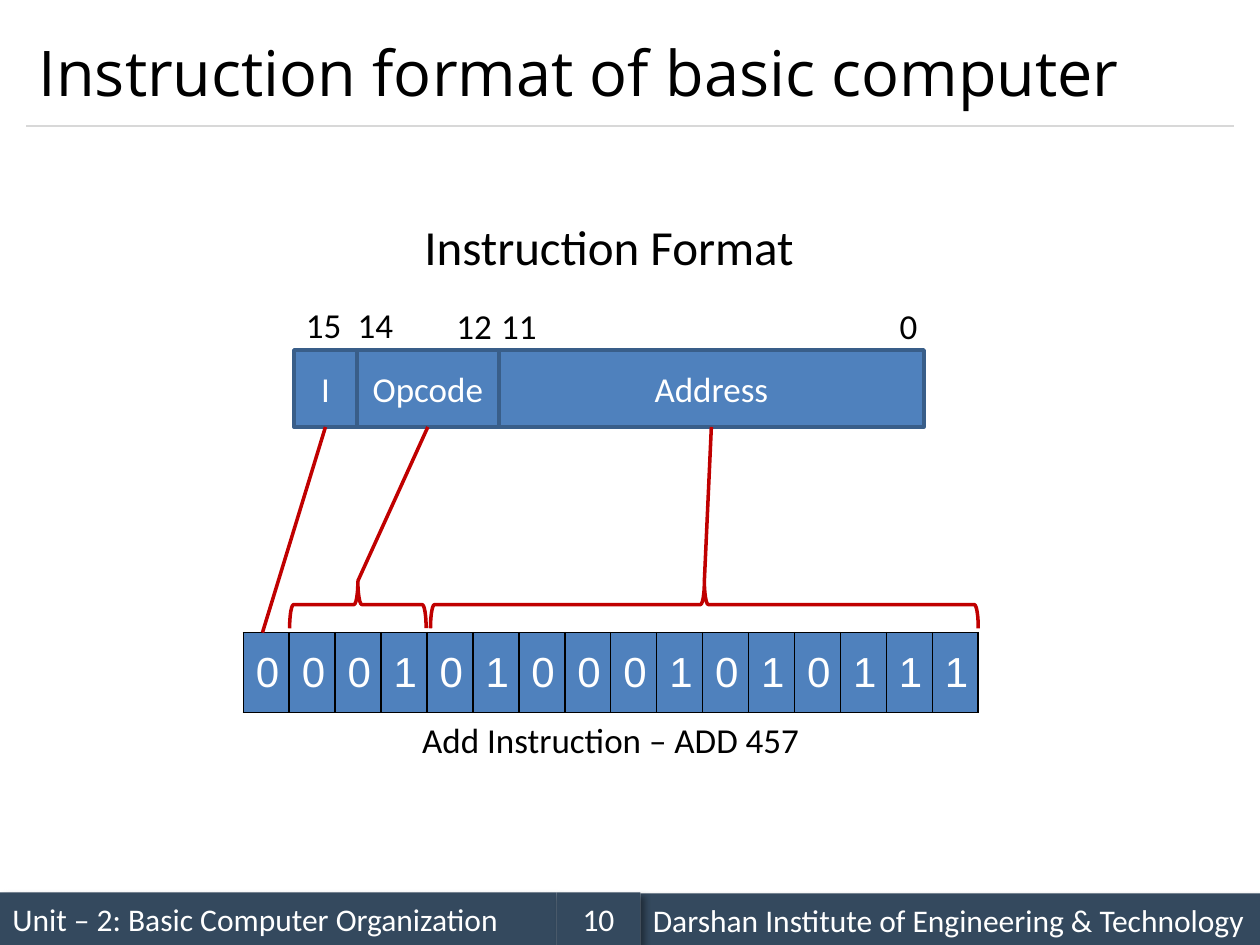
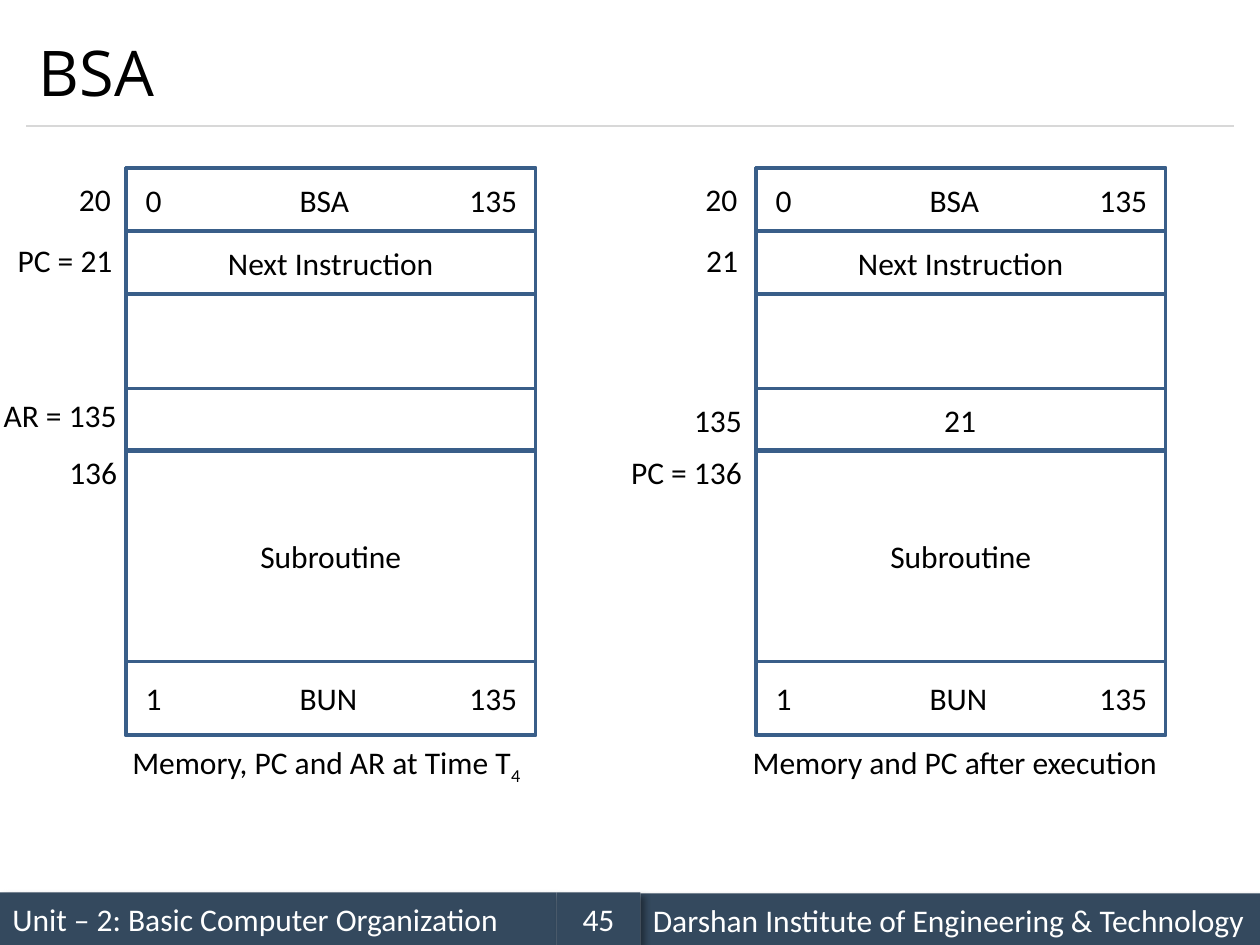
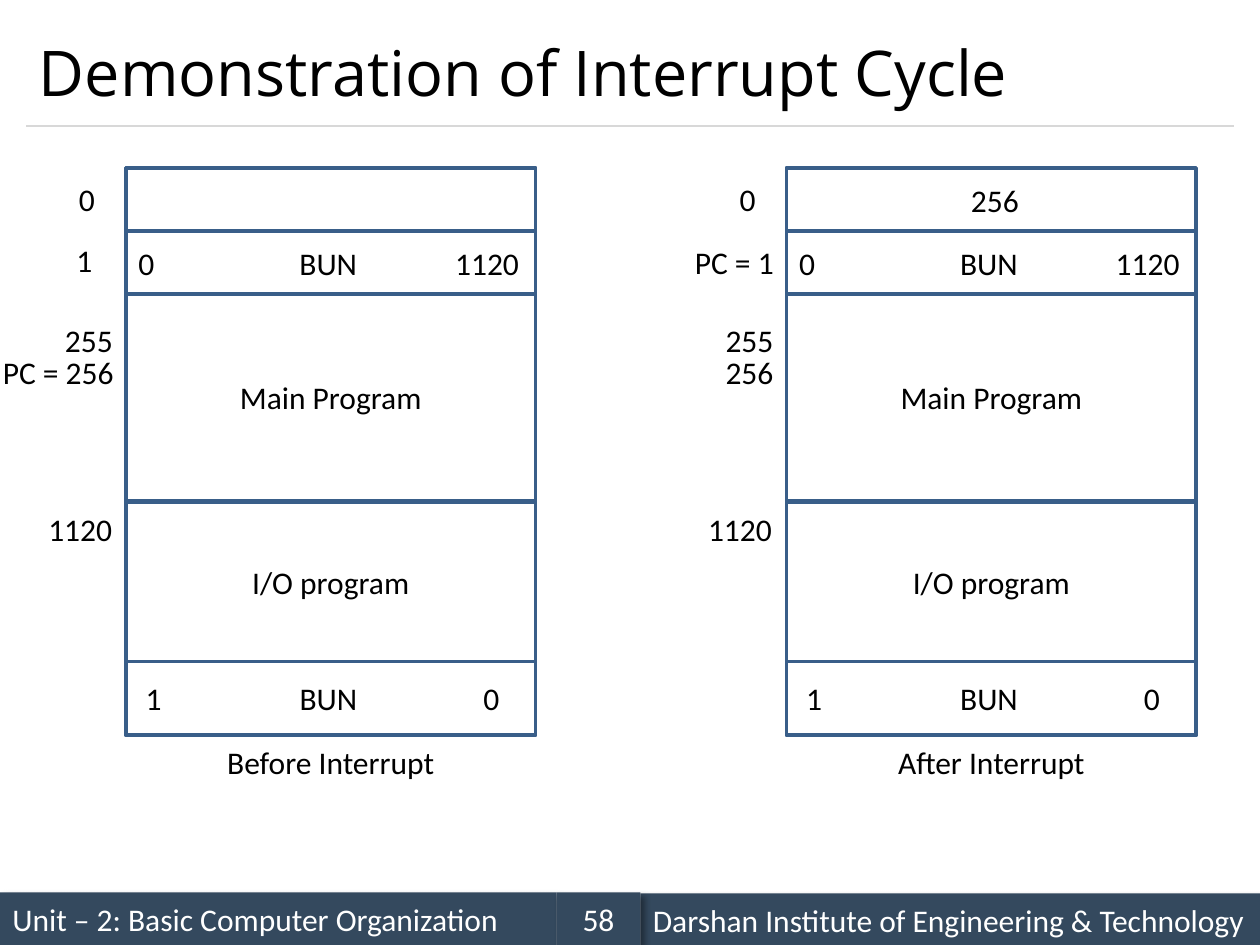
"""Build three slides on instruction formats, BSA and the interrupt cycle."""
from dataclasses import dataclass

from lxml.etree import SubElement
from pptx import Presentation
from pptx.dml.color import RGBColor
from pptx.enum.shapes import MSO_CONNECTOR, MSO_SHAPE
from pptx.enum.text import MSO_ANCHOR, MSO_AUTO_SIZE, PP_ALIGN
from pptx.oxml.ns import qn
from pptx.util import Pt

BLACK, WHITE = "000000", "FFFFFF"
NAVY, RULE_GREY = "34495E", "D8D8D8"
FIELD_BLUE, EDGE_BLUE, RED = "4F81BD", "395E89", "C00000"
BODY_FONT, TITLE_FONT, BIT_FONT = "Calibri", "Open Sans", "Arial"
LEFT, CENTER = PP_ALIGN.LEFT, PP_ALIGN.CENTER
INSET = 7.2

UNIT = "Unit – 2: Basic Computer Organization"
INSTITUTE = "Darshan Institute of Engineering & Technology"

MEMORY_TOP, MEMORY_WIDTH, MEMORY_HEIGHT = 96, 234, 324

WORD = "0001010001010111"
WORD_LEFT, WORD_TOP, BIT_WIDTH, BIT_HEIGHT = 139, 361.5, 26.25, 45.5
FIELD_TOP, FIELD_HEIGHT = 200, 44
BRACE_TOP, BRACE_DEPTH = 332, 27


@dataclass(frozen=True)
class Label:
    """Free text at a place in points, with an optional trailing subscript."""
    text: str
    left: float
    top: float
    width: float
    height: float = 29
    size: float = 18
    align: PP_ALIGN = LEFT
    subscript: str = ""


@dataclass(frozen=True)
class Row:
    """One memory cell; tab stops split its text, lead widens the left inset."""
    top: float
    height: float
    text: str = ""
    lead: float = 0
    tabs: tuple[float, ...] = ()


@dataclass(frozen=True)
class Memory:
    """A column of memory cells with the labels around it."""
    left: float
    rows: tuple[Row, ...]
    labels: tuple[Label, ...]


@dataclass(frozen=True)
class Field:
    """An instruction field and the end of the line that leads down from it."""
    text: str
    left: float
    width: float
    target: tuple[float, float]


@dataclass(frozen=True)
class Band:
    """A footer band."""
    text: str
    left: float
    top: float
    width: float
    align: PP_ALIGN = LEFT


BSA_ROWS = (
    Row(96, 36, "0\tBSA\t135", 4, (88, 185)),
    Row(132, 36, "Next Instruction"),
    Row(222, 36),
    Row(257, 121, "Subroutine"),
    Row(378, 42, "1\tBUN\t135", 4, (88, 185)),
)
BSA_MEMORIES = (
    Memory(72, BSA_ROWS, (
        Label("20", 38, 99.5, 33),
        Label("PC = 21", 3, 134, 69),
        Label("AR = 135", -5, 223, 80),
        Label("136", 32.5, 255.5, 42.5),
        Label("Memory, PC and AR at Time T", 68.5, 421, 241, subscript="4"),
    )),
    Memory(432, BSA_ROWS, (
        Label("20", 396, 99.5, 33),
        Label("21", 396.5, 134, 33),
        Label("135", 389.5, 225.5, 42.5),
        Label("PC = 136", 353.5, 255.5, 78.5),
        Label("21", 532.5, 225.5, 33),
        Label("Memory and PC after execution", 423, 421, 252),
    )),
)

INTERRUPT_ROWS = (
    Row(132, 36, "0\tBUN\t1120", 0, (92, 181)),
    Row(168, 118, "Main Program"),
    Row(287, 91, "I/O program"),
    Row(378, 42, "1\tBUN\t0", 4, (88, 193)),
)
INTERRUPT_MEMORIES = (
    Memory(72, (Row(96, 36), *INTERRUPT_ROWS), (
        Label("0", 38, 99.5, 24),
        Label("1", 36.5, 134, 24),
        Label("255", 30, 180, 42.5),
        Label("PC = 256", -5.5, 198, 78.5),
        Label("1120", 20.5, 288, 51),
        Label("Before Interrupt", 72, 421, MEMORY_WIDTH, align=CENTER),
    )),
    Memory(449.5, (Row(96, 36, "256", 4), *INTERRUPT_ROWS), (
        Label("0", 415.5, 99.5, 24),
        Label("PC = 1", 390, 135.5, 60.5),
        Label("255", 407.5, 180, 42.5),
        Label("256", 407.5, 198, 42.5),
        Label("1120", 397.5, 288, 51),
        Label("After Interrupt", 449.5, 421, MEMORY_WIDTH, align=CENTER),
    )),
)

BRACES = ((165.5, 243.5), (246, 559))
FIELDS = (
    Field("I", 168, 36, (150, WORD_TOP)),
    Field("Opcode", 204, 81, (sum(BRACES[0]) / 2, BRACE_TOP)),
    Field("Address", 285, 243, (sum(BRACES[1]) / 2, BRACE_TOP)),
)
FORMAT_LABELS = (
    Label("Instruction Format", 168, 120, 360, 41, 28, CENTER),
    Label("15", 167, 170, 36, 31.5, 20, CENTER),
    Label("14", 195, 170, 39, 31.5, 20, CENTER),
    Label("12", 251.5, 170.5, 39, 31.5, 20, CENTER),
    Label("11", 278.5, 170.5, 36, 31.5, 20, CENTER),
    Label("0", 507, 170.5, 21.5, 31.5, 20, CENTER),
    Label("Add Instruction – ADD 457", 139, 407, 420, 31.5, 20, CENTER),
)


def color(value: str) -> RGBColor:
    """Turn a hex string into a colour."""
    return RGBColor.from_string(value)


def add_run(paragraph, text: str, size: float, ink: str = BLACK, font: str = BODY_FONT):
    """Add one formatted run."""
    run = paragraph.add_run()
    run.text = text
    run.font.name, run.font.size = font, Pt(size)
    run.font.color.rgb = color(ink)
    return run


def add_box(slide, left: float, top: float, width: float, height: float,
            fill: str = "", edge: str = "", kind: MSO_SHAPE = MSO_SHAPE.RECTANGLE):
    """Add a preset shape without shadow; an empty colour means none."""
    box = slide.shapes.add_shape(kind, Pt(left), Pt(top), Pt(width), Pt(height))
    box.shadow.inherit = False
    if fill:
        box.fill.solid()
        box.fill.fore_color.rgb = color(fill)
    else:
        box.fill.background()
    if edge:
        box.line.color.rgb = color(edge)
        box.line.width = Pt(2)
    else:
        box.line.fill.background()
    return box


def write_in(box, text: str, size: float, ink: str, align: PP_ALIGN):
    """Write one vertically centred paragraph in a shape and return it."""
    box.text_frame.vertical_anchor = MSO_ANCHOR.MIDDLE
    paragraph = box.text_frame.paragraphs[0]
    paragraph.alignment = align
    add_run(paragraph, text, size, ink)
    return paragraph


def add_line(slide, start: tuple[float, float], end: tuple[float, float],
             ink: str, width: float):
    """Add a straight connector without shadow."""
    line = slide.shapes.add_connector(
        MSO_CONNECTOR.STRAIGHT, *(Pt(value) for value in (*start, *end)))
    line.line.color.rgb = color(ink)
    line.line.width = Pt(width)
    SubElement(line.element.spPr, qn("a:effectLst"))
    return line


def add_label(slide, label: Label) -> None:
    """Add a free text label."""
    box = slide.shapes.add_textbox(
        Pt(label.left), Pt(label.top), Pt(label.width), Pt(label.height))
    box.text_frame.word_wrap = False
    paragraph = box.text_frame.paragraphs[0]
    paragraph.alignment = label.align
    add_run(paragraph, label.text, label.size)
    if label.subscript:
        run = add_run(paragraph, label.subscript, label.size)
        run._r.get_or_add_rPr().set("baseline", "-25000")


def add_band(slide, band: Band) -> None:
    """Add a footer band with a soft shadow."""
    box = add_box(slide, band.left, band.top, band.width, 30, NAVY)
    write_in(box, band.text, 18, WHITE, band.align)
    effects = box.element.spPr.find(qn("a:effectLst"))
    shadow = SubElement(effects, qn("a:outerShdw"), blurRad=str(Pt(4)), dist=str(Pt(3)),
                        dir="2700000", algn="tl", rotWithShape="0")
    shade = SubElement(shadow, qn("a:srgbClr"), val=BLACK)
    SubElement(shade, qn("a:alpha"), val="40000")


def add_titled_slide(deck, heading: str, number: int):
    """Add a slide with its title, rule and footer."""
    slide = deck.slides.add_slide(deck.slide_layouts[5])
    title = slide.shapes.title
    title.left, title.top, title.width, title.height = Pt(15), Pt(9), Pt(690), Pt(63)
    frame = title.text_frame
    frame.auto_size, frame.vertical_anchor = MSO_AUTO_SIZE.NONE, MSO_ANCHOR.MIDDLE
    frame.paragraphs[0].alignment = LEFT
    add_run(frame.paragraphs[0], heading, 36, font=TITLE_FONT)
    add_line(slide, (15, 72), (705, 72), RULE_GREY, 0.75)
    for band in (Band(UNIT, 0, 510, 318), Band(INSTITUTE, 366, 510.5, 354),
                 Band(str(number), 318, 510, 48, CENTER)):
        add_band(slide, band)
    return slide


def add_memory(slide, memory: Memory) -> None:
    """Draw a memory column with its cells and labels."""
    add_box(slide, memory.left, MEMORY_TOP, MEMORY_WIDTH, MEMORY_HEIGHT, edge=EDGE_BLUE)
    for row in memory.rows:
        cell = add_box(slide, memory.left, row.top, MEMORY_WIDTH, row.height, edge=EDGE_BLUE)
        if not row.text:
            continue
        cell.text_frame.margin_left = Pt(INSET + row.lead)
        paragraph = write_in(cell, row.text, 18, BLACK, LEFT if row.tabs else CENTER)
        if row.tabs:
            stops = SubElement(paragraph._p.get_or_add_pPr(), qn("a:tabLst"))
            for stop in row.tabs:
                SubElement(stops, qn("a:tab"), pos=str(Pt(stop)), algn="l")
    for label in memory.labels:
        add_label(slide, label)


def add_cell_borders(cell) -> None:
    """Give a table cell a thin black border on every side."""
    properties = cell._tc.get_or_add_tcPr()
    for position, side in enumerate(("lnL", "lnR", "lnT", "lnB")):
        border = SubElement(properties, qn(f"a:{side}"), w=str(Pt(1)))
        SubElement(SubElement(border, qn("a:solidFill")), qn("a:srgbClr"), val=BLACK)
        properties.insert(position, border)


def add_word(slide) -> None:
    """Draw the instruction word as a one-row table of bits."""
    word = slide.shapes.add_table(1, len(WORD), Pt(WORD_LEFT), Pt(WORD_TOP),
                                  Pt(BIT_WIDTH * len(WORD)), Pt(BIT_HEIGHT)).table
    for column, bit in enumerate(WORD):
        word.columns[column].width = Pt(BIT_WIDTH)
        cell = word.cell(0, column)
        cell.fill.solid()
        cell.fill.fore_color.rgb = color(FIELD_BLUE)
        cell.vertical_anchor = MSO_ANCHOR.MIDDLE
        paragraph = cell.text_frame.paragraphs[0]
        paragraph.alignment = CENTER
        add_run(paragraph, bit, 24, WHITE, BIT_FONT)
        add_cell_borders(cell)


def add_brace(slide, start: float, end: float) -> None:
    """Draw a brace over the bits from start to end, pointing up."""
    span = end - start
    brace = add_box(slide, (start + end - BRACE_DEPTH) / 2,
                    BRACE_TOP + (BRACE_DEPTH - span) / 2, BRACE_DEPTH, span,
                    edge=RED, kind=MSO_SHAPE.LEFT_BRACE)
    brace.rotation = 90


def add_field(slide, field: Field) -> None:
    """Draw an instruction field and its line to the bits."""
    box = add_box(slide, field.left, FIELD_TOP, field.width, FIELD_HEIGHT,
                  FIELD_BLUE, EDGE_BLUE)
    write_in(box, field.text, 20, WHITE, CENTER)
    foot = (field.left + field.width / 2, FIELD_TOP + FIELD_HEIGHT)
    add_line(slide, foot, field.target, RED, 2).begin_connect(box, 2)


def main() -> None:
    """Build and save the slides."""
    deck = Presentation()
    deck.slide_width, deck.slide_height = Pt(720), Pt(540)

    instruction = add_titled_slide(deck, "Instruction format of basic computer", 10)
    add_word(instruction)
    for field in FIELDS:
        add_field(instruction, field)
    for start, end in BRACES:
        add_brace(instruction, start, end)
    for label in FORMAT_LABELS:
        add_label(instruction, label)

    for heading, number, memories in (
            ("BSA", 45, BSA_MEMORIES),
            ("Demonstration of Interrupt Cycle", 58, INTERRUPT_MEMORIES)):
        slide = add_titled_slide(deck, heading, number)
        for memory in memories:
            add_memory(slide, memory)

    deck.save("out.pptx")


if __name__ == "__main__":
    main()
